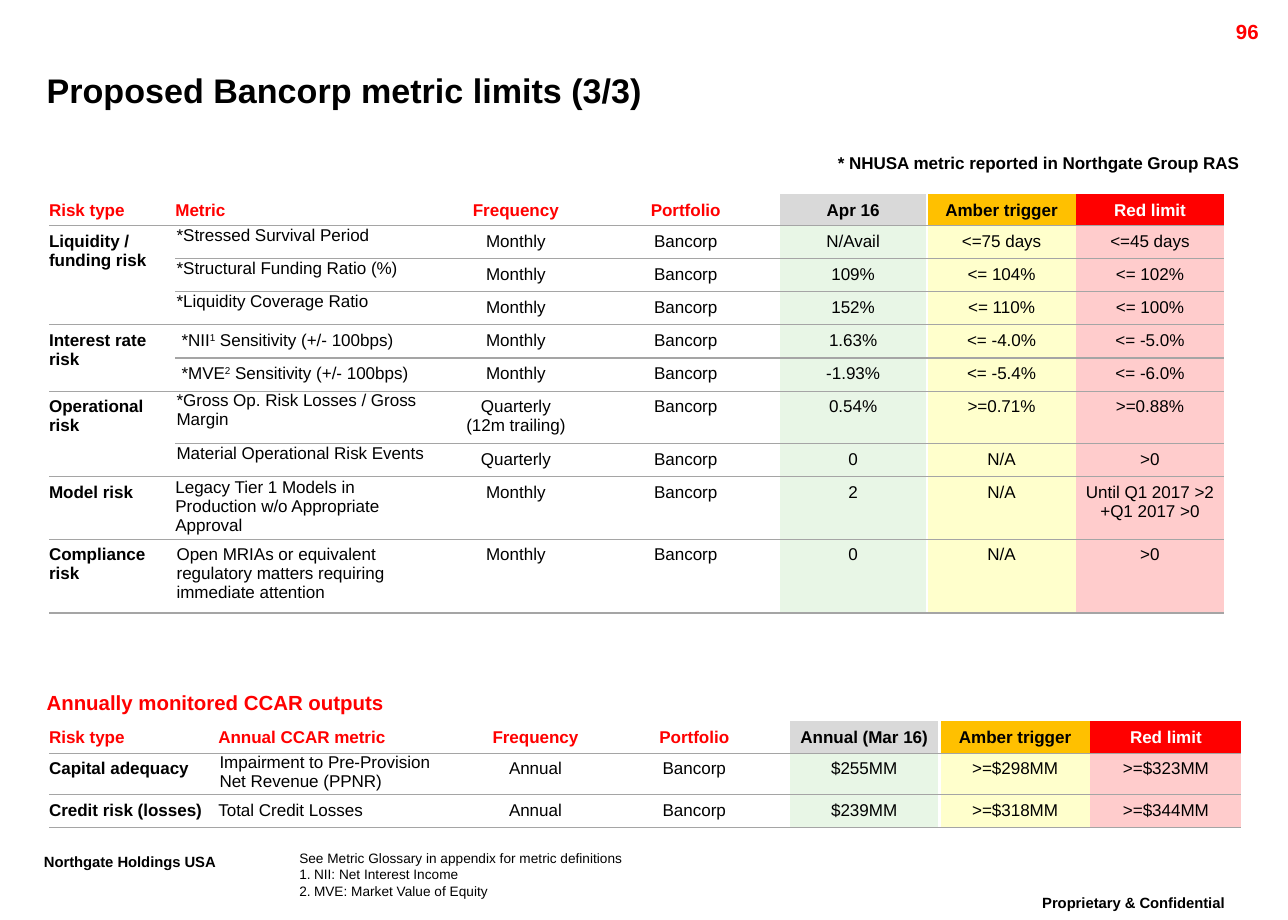
from dataclasses import dataclass

from lxml.etree import SubElement
from pptx import Presentation
from pptx.dml.color import RGBColor
from pptx.enum.text import MSO_ANCHOR as Anchor, PP_ALIGN as Align
from pptx.oxml.ns import qn
from pptx.util import Inches, Pt

FONT = "Arial"
COLORS = {
    "black": "000000", "white": "FFFFFF", "red": "FF0000", "grey": "D9D9D9", "amber": "FFC000",
    "rule": "A5A5A5", "pale_green": "E8F6E6", "pale_amber": "FFFFCC", "pale_red": "FFCCCC",
}
HEADER_FILLS = [None] * 4 + ["grey", "amber", "red"]
HEADER_INKS = ["red"] * 4 + ["black", "black", "white"]
BODY_FILLS = [None] * 4 + ["pale_green", "pale_amber", "pale_red"]
NO_STYLE = "{2D5ABB26-0587-4C30-8999-92F81FD0307C}"
PAD = 0.05
TIGHT = (0.01, 0, 0.01, 0)
PADDED = (PAD, PAD, PAD, PAD)


@dataclass
class Metric:
    """One table row; an empty risk continues the risk type above it."""
    risk: str
    name: str
    frequency: str
    values: tuple[str, str, str]
    height: float = 0.27
    insets: tuple[float, float, float, float] = TIGHT


@dataclass
class MetricTable:
    left: float
    top: float
    widths: list[float]
    headers: list[str]
    metrics: list[Metric]


@dataclass
class Label:
    text: str
    box: tuple[float, float, float, float]
    size: float
    color: str = "black"
    bold: bool = True
    align: Align = Align.LEFT
    spacing: float = 1.0
    wrap: bool = True
    inset: bool = True
    raised: bool = False


LIMITS = MetricTable(
    0.4, 1.58, [1.03, 2.15, 1.25, 1.52, 1.21, 1.21, 1.21],
    ["Risk type", "Metric", "Frequency", "Portfolio", "Apr 16", "Amber trigger", "Red limit"],
    [
        Metric("Liquidity / funding risk", "*Stressed Survival Period", "Monthly",
               ("N/Avail", "<=75 days", "<=45 days")),
        Metric("", "*Structural Funding Ratio (%)", "Monthly", ("109%", "<= 104%", "<= 102%")),
        Metric("", "*Liquidity Coverage Ratio", "Monthly", ("152%", "<= 110%", "<= 100%")),
        Metric("Interest rate risk", "*NII^1^ Sensitivity (+/- 100bps)", "Monthly",
               ("1.63%", "<= -4.0%", "<= -5.0%"), insets=PADDED),
        Metric("", "*MVE^2^ Sensitivity (+/- 100bps)", "Monthly",
               ("-1.93%", "<= -5.4%", "<= -6.0%"), insets=PADDED),
        Metric("Operational risk", "*Gross Op. Risk Losses / Gross Margin",
               "Quarterly\n(12m trailing)", ("0.54%", ">=0.71%", ">=0.88%"), 0.43),
        Metric("", "Material Operational Risk Events", "Quarterly", ("0", "N/A", ">0")),
        Metric("Model risk", "Legacy Tier 1 Models in Production w/o Appropriate Approval",
               "Monthly", ("2", "N/A", "Until Q1 2017 >2\n+Q1 2017 >0"), 0.51, (0, 0.01, 0.01, 0)),
        Metric("Compliance risk",
               "Open MRIAs or equivalent regulatory matters requiring immediate attention",
               "Monthly", ("0", "N/A", ">0"), 0.6, (0.01, PAD, PAD, PAD)),
    ],
)
CCAR = MetricTable(
    0.4, 5.88, [1.38, 2.06, 1.05, 1.54, 1.23, 1.23, 1.23],
    ["Risk type", "Annual CCAR metric", "Frequency", "Portfolio", "Annual (Mar 16)",
     "Amber trigger", "Red limit"],
    [
        Metric("Capital adequacy", "Impairment to Pre-Provision\vNet Revenue (PPNR)", "Annual",
               ("$255MM", ">=$298MM", ">=$323MM"), 0.34),
        Metric("Credit risk (losses)", "Total Credit Losses", "Annual",
               ("$239MM", ">=$318MM", ">=$344MM"), insets=(0, PAD, PAD, PAD)),
    ],
)
LABELS = [
    Label("Proprietary & Confidential", (8.15, 7.25, 2.18, 0.32), 15, align=Align.CENTER,
          spacing=0.86, raised=True),
    Label("Northgate Holdings USA", (0.26, 6.91, 1.91, 0.32), 15, spacing=0.86, wrap=False,
          raised=True),
    Label("96", (9.36, 0.11, 1, 0.24), 12, "red", align=Align.RIGHT),
    Label("Annually monitored CCAR outputs", (0.38, 5.63, 2.78, 0.2), 12, "red", wrap=False,
          inset=False),
    Label("* NHUSA metric reported in Northgate Group RAS", (6.7, 1.22, 3.53, 0.25), 10,
          align=Align.CENTER, spacing=0.86, wrap=False),
]
NOTES = Label("See Metric Glossary in appendix for metric definitions\nNII: Net Interest Income\n"
              "MVE: Market Value of Equity", (2.44, 6.93, 5.47, 0.4), 8, bold=False, inset=False)


def rgb(name: str) -> RGBColor:
    return RGBColor.from_string(COLORS[name])


def set_insets(target, insets) -> None:
    (target.margin_left, target.margin_top,
     target.margin_right, target.margin_bottom) = (Inches(v) for v in insets)


def write(tf, text: str, size: float, color: str, bold: bool, align: Align,
          spacing: float = 1.0) -> None:
    """Fill and format a text frame; parts between ^ marks become superscript."""
    tf.text = text.replace("^", "")
    for p, line in zip(tf.paragraphs, text.split("\n")):
        if "^" in line:
            p.text = ""
            for i, part in enumerate(line.split("^")):
                r = p.add_run()
                r.text = part
                if i % 2:
                    r.font._element.set("baseline", "30000")
        p.alignment, p.line_spacing = align, spacing
        for r in p.runs:
            r.font.name, r.font.size, r.font.bold = FONT, Pt(size), bold
            r.font.color.rgb = rgb(color)


def add_label(slide, label: Label):
    tf = slide.shapes.add_textbox(*(Inches(v) for v in label.box)).text_frame
    tf.word_wrap = label.wrap
    if not label.inset:
        set_insets(tf, (0, 0, 0, 0))
    write(tf, label.text, label.size, label.color, label.bold, label.align, label.spacing)
    if label.raised:
        tf.paragraphs[0].runs[0].font._element.set("baseline", "30000")
    return tf


def add_border(cell, side: str, color: str, width: float) -> None:
    tc_pr = cell._tc.get_or_add_tcPr()
    ln = SubElement(tc_pr, qn(f"a:ln{side}"), w=str(Pt(width)))
    SubElement(SubElement(ln, qn("a:solidFill")), qn("a:srgbClr"), val=COLORS[color])


def add_metric_table(slide, spec: MetricTable) -> None:
    metrics = spec.metrics
    heights = [0.26] + [m.height for m in metrics]
    frame = slide.shapes.add_table(len(heights), len(spec.widths), Inches(spec.left),
                                   Inches(spec.top), Inches(sum(spec.widths)),
                                   Inches(sum(heights)))
    frame.element.find(f".//{qn('a:tableStyleId')}").text = NO_STYLE
    table = frame.table
    table.horz_banding = False
    for column, width in zip(table.columns, spec.widths):
        column.width = Inches(width)
    for row, height in zip(table.rows, heights):
        row.height = Inches(height)

    starts = [i for i, m in enumerate(metrics, 1) if m.risk] + [len(heights)]
    for first, after in zip(starts, starts[1:]):
        if after - first > 1:
            table.cell(first, 0).merge(table.cell(after - 1, 0))

    grid = [spec.headers] + [[m.risk, m.name, m.frequency, "Bancorp", *m.values] for m in metrics]
    for i, texts in enumerate(grid):
        for j, text in enumerate(texts):
            cell = table.cell(i, j)
            if j == 4:
                add_border(cell, "L", "white", 1.5)
            if j == 3:
                add_border(cell, "R", "white", 1.5)
            if i and not cell.is_spanned:
                add_border(cell, "T", "rule", 0.75)
            if not cell.is_spanned or i + 1 in starts:
                add_border(cell, "B", "rule", 0.75)
            fill = (BODY_FILLS if i else HEADER_FILLS)[j]
            if fill:
                cell.fill.solid()
                cell.fill.fore_color.rgb = rgb(fill)
            else:
                cell.fill.background()
            if cell.is_spanned:
                continue
            flush = j == 0 or (i == 0 and j == 1)
            insets = (0 if flush else PAD, PAD, PAD, PAD)
            set_insets(cell, metrics[i - 1].insets if i and j == 1 else insets)
            cell.vertical_anchor = Anchor.TOP if i else Anchor.BOTTOM
            write(cell.text_frame, text, 10, "black" if i else HEADER_INKS[j], not i or j == 0,
                  Align.LEFT if j < 2 else Align.CENTER, 1.0 if i else 0.86)


def add_title(slide, text: str) -> None:
    sp = slide.shapes.title
    sp.left, sp.top, sp.width, sp.height = (Inches(v) for v in (0.38, 0.49, 9.48, 0.48))
    tf = sp.text_frame
    set_insets(tf, (0, 0, 0, 0))
    tf.vertical_anchor = Anchor.MIDDLE
    write(tf, text, 20, "black", True, Align.LEFT)


def add_notes(slide) -> None:
    for p in add_label(slide, NOTES).paragraphs[1:]:
        p_pr = p._p.get_or_add_pPr()
        p_pr.set("marL", str(Inches(0.12)))
        p_pr.set("indent", str(Inches(-0.12)))
        SubElement(p_pr, qn("a:buFont"), typeface=FONT)
        SubElement(p_pr, qn("a:buAutoNum"), type="arabicPeriod")


def main() -> None:
    prs = Presentation()
    prs.slide_width, prs.slide_height = Inches(10.5), Inches(7.5)
    slide = prs.slides.add_slide(prs.slide_layouts[5])
    add_title(slide, "Proposed Bancorp metric limits (3/3)")
    for spec in (LIMITS, CCAR):
        add_metric_table(slide, spec)
    for label in LABELS:
        add_label(slide, label)
    add_notes(slide)
    prs.save("out.pptx")


if __name__ == "__main__":
    main()
